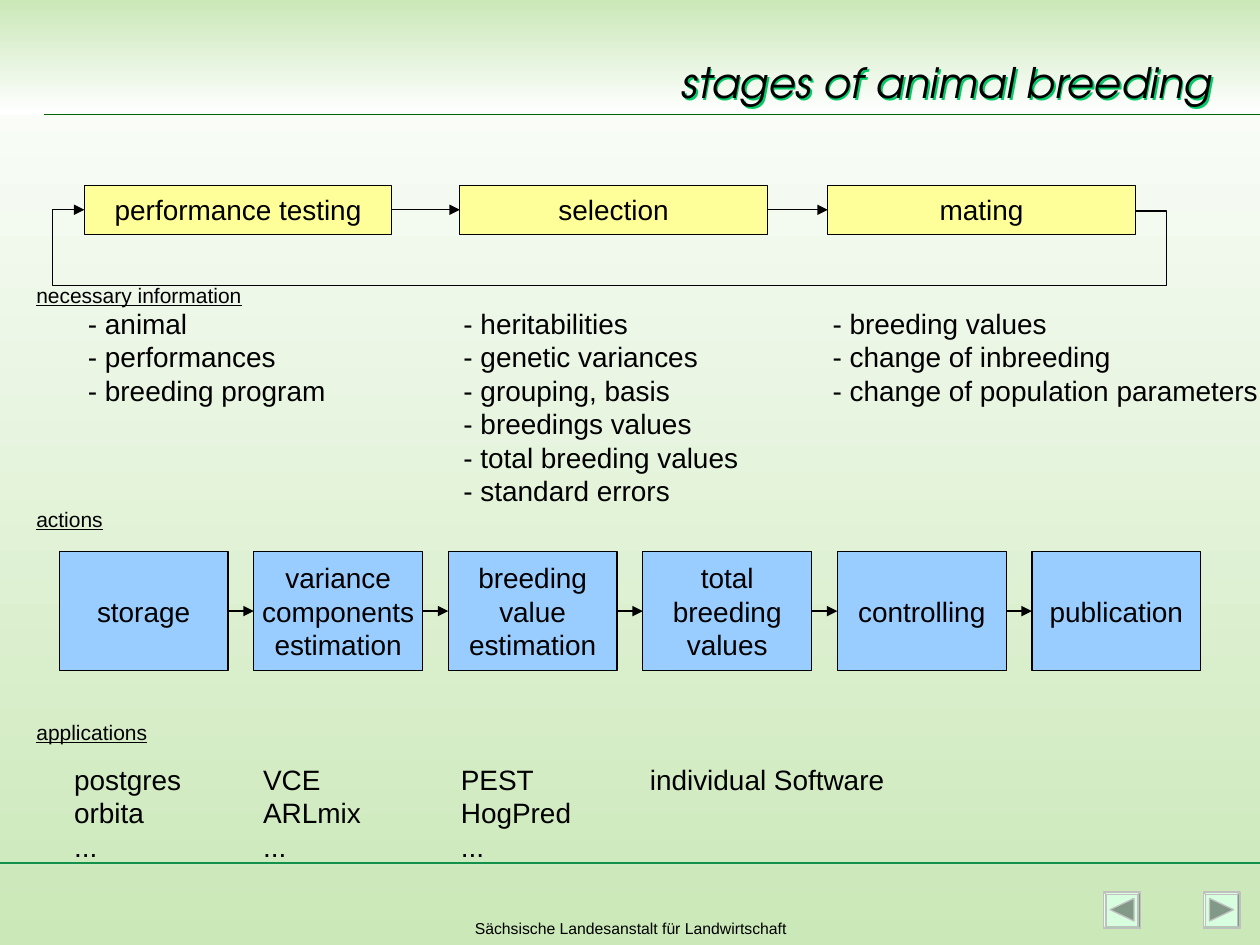
import pptx
import pptx.util
import pptx.dml.color
import pptx.enum.shapes
import pptx.enum.text
import pptx.oxml
import pptx.oxml.ns
from lxml import etree
from pptx.util import Inches

SHAPES = pptx.enum.shapes.MSO_SHAPE
CONNECTORS = pptx.enum.shapes.MSO_CONNECTOR
ALIGN = pptx.enum.text.PP_ALIGN
ANCHOR = pptx.enum.text.MSO_ANCHOR
qn = pptx.oxml.ns.qn


def color(value):
    return pptx.dml.color.RGBColor.from_string(value)


def write(frame, text, size=16, font="Arial", align=ALIGN.LEFT, anchor=ANCHOR.TOP,
          wrap=False, underline=False, italic=False):
    frame.word_wrap = wrap
    frame.auto_size = pptx.enum.text.MSO_AUTO_SIZE.NONE
    frame.vertical_anchor = anchor
    frame.text = text
    for paragraph in frame.paragraphs:
        paragraph.alignment = align
        paragraph.font.name = font
        paragraph.font.size = pptx.util.Pt(size)
        paragraph.font.color.rgb = color("000000")
        paragraph.font.underline = underline
        paragraph.font.italic = italic


def fill_gradient(fill, top, bottom):
    fill.gradient()
    fill.gradient_angle = 270
    for stop, value in zip(fill.gradient_stops, (top, bottom)):
        stop.color.rgb = color(value)


class SlideBuilder:
    """Hold the style and the current slide, and add each kind of element."""

    white, green, line_width = "FFFFFF", "CAE8B8", 0.75

    def __init__(self, slide):
        self.slide = slide
        self.shapes = slide.shapes

    def backdrop(self):
        fill_gradient(self.slide.background.fill, self.white, self.green)
        band = self.shapes.add_shape(SHAPES.RECTANGLE, 0, 0, Inches(10), Inches(0.91))
        band.shadow.inherit = False
        band.line.fill.background()
        fill_gradient(band.fill, self.green, self.white)

    def title(self, text, left, top, width, height):
        title = self.shapes.title
        title.left, title.top = Inches(left), Inches(top)
        title.width, title.height = Inches(width), Inches(height)
        write(title.text_frame, text, size=24, font="TeX Gyre Adventor", italic=True,
              align=ALIGN.RIGHT, anchor=ANCHOR.BOTTOM, wrap=True)
        effects = etree.SubElement(title.element.spPr, qn("a:effectLst"))
        shadow = etree.SubElement(effects, qn("a:outerShdw"), dist="18000", dir="2700000")
        etree.SubElement(shadow, qn("a:srgbClr"), val="00CC66")
        title.element.getparent().append(title.element)

    def text(self, text, left, top, width, height, **style):
        box = self.shapes.add_textbox(Inches(left), Inches(top), Inches(width), Inches(height))
        write(box.text_frame, text, **style)

    def style_shape(self, shape, fill, line):
        shape.shadow.inherit = False
        shape.fill.solid()
        shape.fill.fore_color.rgb = color(fill)
        shape.line.color.rgb = color(line)
        shape.line.width = pptx.util.Pt(self.line_width)

    def box(self, text, left, top, width, height, fill):
        box = self.shapes.add_shape(SHAPES.RECTANGLE, Inches(left), Inches(top),
                                    Inches(width), Inches(height))
        self.style_shape(box, fill, "000000")
        frame = box.text_frame
        frame.margin_left = frame.margin_right = 0
        write(frame, text, align=ALIGN.CENTER, anchor=ANCHOR.MIDDLE, wrap=True)
        return box

    def style_connector(self, connector, line, width):
        connector.line.color.rgb = color(line)
        connector.line.width = pptx.util.Pt(width)
        etree.SubElement(connector.element.spPr, qn("a:effectLst"))

    def rule(self, left, top, line, width):
        rule = self.shapes.add_connector(CONNECTORS.STRAIGHT, Inches(left), Inches(top),
                                         Inches(10), Inches(top))
        self.style_connector(rule, line, width)

    def arrow(self, start, end, kind=CONNECTORS.STRAIGHT):
        arrow = self.shapes.add_connector(kind, 0, 0, 0, 0)
        arrow.begin_connect(start, 3)
        arrow.end_connect(end, 1)
        self.style_connector(arrow, "000000", self.line_width)
        etree.SubElement(arrow.line._get_or_add_ln(), qn("a:tailEnd"), type="triangle")
        return arrow

    def feedback(self, start, end, rise, overhang):
        arrow = self.arrow(start, end, CONNECTORS.ELBOW)
        arrow.height = Inches(0.01)
        geometry = arrow.element.spPr.find(qn("a:prstGeom"))
        geometry.set("prst", "bentConnector5")
        guides = geometry.find(qn("a:avLst"))
        if guides is None:
            guides = etree.SubElement(geometry, qn("a:avLst"))
        side = Inches(overhang) / arrow.width
        ratios = (-side, -Inches(rise) / arrow.height, 1 + side)
        for number, ratio in enumerate(ratios, 1):
            etree.SubElement(guides, qn("a:gd"), name=f"adj{number}",
                             fmla=f"val {round(ratio * 100000)}")

    def button(self, left, top, base, tip):
        button = self.shapes.add_shape(SHAPES.BEVEL, Inches(left), Inches(top),
                                       Inches(0.29), Inches(0.29))
        button.adjustments[0] = 0.06
        self.style_shape(button, "D7FFDF", "C0C0C0")
        outline = self.shapes.build_freeform(Inches(left + base), Inches(top + 0.05))
        outline.add_line_segments([(Inches(left + tip), Inches(top + 0.14)),
                                   (Inches(left + base), Inches(top + 0.23))])
        self.style_shape(outline.convert_to_shape(), "819986", "C0C0C0")


def main():
    presentation = pptx.Presentation()
    presentation.slide_width, presentation.slide_height = Inches(10), Inches(7.5)
    builder = SlideBuilder(presentation.slides.add_slide(presentation.slide_layouts[5]))

    builder.backdrop()
    builder.button(8.76, 7.08, base=0.24, tip=0.05)
    builder.button(9.55, 7.08, base=0.05, tip=0.24)
    builder.text("Sächsische Landesanstalt für Landwirtschaft", 1.68, 7.24, 6.65, 0.26,
                 size=9, align=ALIGN.CENTER, wrap=True)
    builder.rule(0, 6.85, "119149", 1)
    builder.rule(0.35, 0.91, "006600", 0.75)
    builder.title("stages of animal breeding", 1.22, 0.4, 8.5, 0.5)

    stages = [builder.box(name, left, 1.47, 2.44, 0.39, "FFFF99") for name, left in (
        ("performance testing", 0.67), ("selection", 3.65), ("mating", 6.57))]
    actions = [builder.box(name, 0.47 + 1.544 * index, 4.38, 1.34, 0.94, "99CCFF")
               for index, name in enumerate((
                   "storage", "variance\ncomponents\nestimation",
                   "breeding\nvalue\nestimation", "total\nbreeding\nvalues",
                   "controlling", "publication"))]
    for row in (stages, actions):
        for start, end in zip(row, row[1:]):
            builder.arrow(start, end)
    builder.feedback(stages[-1], stages[0], rise=0.6, overhang=0.25)

    for heading, top, width in (("necessary information", 2.19, 1.83),
                                ("actions", 3.97, 0.73), ("applications", 5.66, 1.08)):
        builder.text(heading, 0.19, top, width, 0.3, size=12, underline=True)

    information = (
        (0.6, 2.14, ("animal", "performances", "breeding program")),
        (3.58, 2.38, ("heritabilities", "genetic variances", "grouping, basis",
                      "breedings values", "total breeding values", "standard errors")),
        (6.51, 3.64, ("breeding values", "change of inbreeding",
                      "change of population parameters")))
    for left, width, items in information:
        builder.text("\n".join(f"- {item}" for item in items), left, 2.38, width,
                     0.1 + 0.267 * len(items))

    applications = (
        (0.49, 1.05, ("postgres", "orbita", "...")),
        (1.99, 1.01, ("VCE", "ARLmix", "...")),
        (3.56, 0.96, ("PEST", "HogPred", "...")),
        (5.06, 2.06, ("individual Software",)))
    for left, width, items in applications:
        builder.text("\n".join(items), left, 6, width, 0.1 + 0.267 * len(items))

    presentation.save("out.pptx")


if __name__ == "__main__":
    main()
